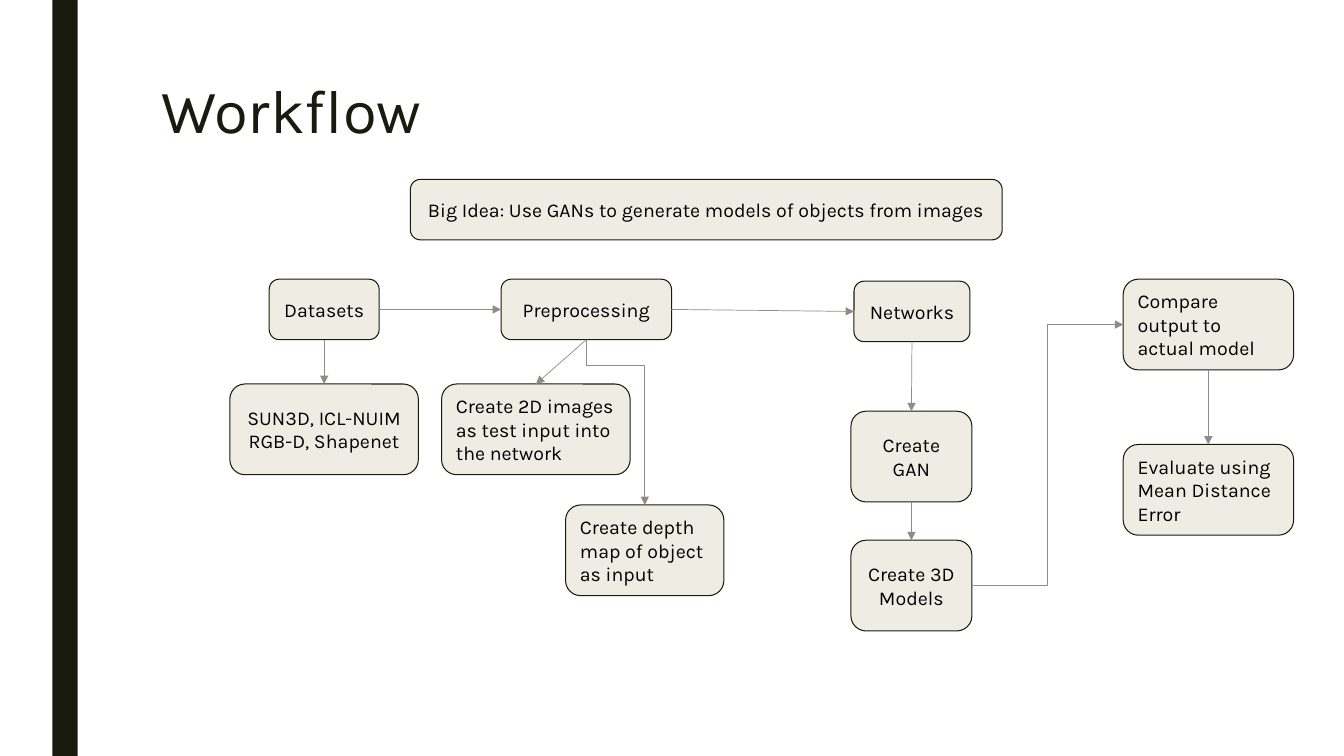
from lxml import etree
from pptx import Presentation, util as u
from pptx.dml.color import RGBColor
from pptx.enum import shapes, text
from pptx.oxml import ns

PX = 9144
DARK = RGBColor(0x19, 0x1B, 0x0E)
CREAM = RGBColor(0xEF, 0xED, 0xE3)
GRAY = RGBColor(0x8C, 0x8D, 0x86)
BLACK = RGBColor(0, 0, 0)
TOP, LEFT, BOTTOM, RIGHT = range(4)
CENTER, START = text.PP_ALIGN.CENTER, text.PP_ALIGN.LEFT

FRAME_FORMAT = {
    "word_wrap": True,
    "vertical_anchor": text.MSO_ANCHOR.MIDDLE,
    "margin_left": 10 * PX,
    "margin_right": 10 * PX,
    "margin_top": 10 * PX,
    "margin_bottom": 10 * PX,
}
TITLE_FORMAT = {
    **FRAME_FORMAT,
    "vertical_anchor": text.MSO_ANCHOR.TOP,
    "margin_top": 5 * PX,
    "margin_bottom": 5 * PX,
}

STEPS = {
    "idea": (407, 178, 587, 60, CENTER, "Big Idea: Use GANs to generate models of objects from images"),
    "datasets": (267, 277, 109, 60, CENTER, "Datasets"),
    "preprocessing": (497, 277, 169, 60, CENTER, "Preprocessing"),
    "networks": (847, 279, 115, 60, CENTER, "Networks"),
    "sources": (228, 381, 187, 90, CENTER, "SUN3D, ICL-NUIM RGB-D, Shapenet"),
    "images": (438, 381, 187, 90, START, "Create 2D images as test input into the network"),
    "depth": (561, 501, 157, 90, START, "Create depth map of object as input"),
    "gan": (844, 408, 120, 90, CENTER, "Create GAN"),
    "models": (844, 536, 120, 90, CENTER, "Create 3D Models"),
    "compare": (1114, 277, 169, 90, START, "Compare output to actual model"),
    "evaluate": (1114, 441, 169, 90, START, "Evaluate using Mean Distance Error"),
}
STRAIGHT_ARROWS = [
    ("datasets", RIGHT, "preprocessing", LEFT),
    ("preprocessing", RIGHT, "networks", LEFT),
    ("datasets", BOTTOM, "sources", TOP),
    ("preprocessing", BOTTOM, "images", TOP),
    ("networks", BOTTOM, "gan", TOP),
    ("gan", BOTTOM, "models", TOP),
    ("compare", BOTTOM, "evaluate", TOP),
]


def apply(target, values):
    for name, value in values.items():
        setattr(target, name, value)


def write(shape, words, size, color, frame_format, paragraph_format):
    frame = shape.text_frame
    apply(frame, frame_format)
    paragraph = frame.paragraphs[0]
    paragraph.text = words
    apply(paragraph, paragraph_format)
    apply(paragraph.font, {"name": "Karla", "size": u.Pt(size)})
    paragraph.font.color.rgb = color


def add_box(slide, kind, box, fill):
    shape = slide.shapes.add_shape(kind, *(value * PX for value in box))
    shape.shadow.inherit = False
    shape.fill.solid()
    shape.fill.fore_color.rgb = fill
    return shape


def add_side_bar(slide, box):
    add_box(slide, shapes.MSO_SHAPE.RECTANGLE, box, DARK).line.fill.background()


def add_title(slide, box):
    title = slide.shapes.add_textbox(*(value * PX for value in box))
    write(title, "Workflow", 44, DARK, TITLE_FORMAT, {"line_spacing": 0.89})


def add_step(slide, left, top, width, height, alignment, words):
    step = add_box(slide, shapes.MSO_SHAPE.ROUNDED_RECTANGLE, (left, top, width, height), CREAM)
    step.adjustments[0] = 0.167
    step.line.color.rgb = DARK
    step.line.width = u.Pt(0.75)
    write(step, words, 14, BLACK, FRAME_FORMAT, {"alignment": alignment})
    return step


def add_arrow(slide, kind, source, source_side, target, target_side):
    arrow = slide.shapes.add_connector(kind, 0, 0, 0, 0)
    arrow.begin_connect(source, source_side)
    arrow.end_connect(target, target_side)
    arrow.line.color.rgb = GRAY
    arrow.line.width = u.Pt(0.5)
    etree.SubElement(arrow.line._get_or_add_ln(), ns.qn("a:tailEnd"), type="triangle")
    etree.SubElement(arrow._element.spPr, ns.qn("a:effectLst"))
    return arrow


def turn_downward(arrow, bend):
    left, top, width, height = arrow.left, arrow.top, arrow.width, arrow.height
    apply(arrow, {
        "left": left + (width - height) // 2,
        "top": top + (height - width) // 2,
        "width": height,
        "height": width,
    })
    properties = arrow._element.spPr
    transform = properties.find(ns.qn("a:xfrm"))
    transform.set("rot", "16200000")
    transform.set("flipH", "1")
    guides = properties.find(ns.qn("a:prstGeom")).find(ns.qn("a:avLst"))
    etree.SubElement(guides, ns.qn("a:gd"), name="adj1", fmla=f"val {bend}")


def add_workflow(slide):
    steps = {name: add_step(slide, *values) for name, values in STEPS.items()}
    straight, elbow = shapes.MSO_CONNECTOR.STRAIGHT, shapes.MSO_CONNECTOR.ELBOW
    for source, source_side, target, target_side in STRAIGHT_ARROWS:
        add_arrow(slide, straight, steps[source], source_side, steps[target], target_side)
    add_arrow(slide, elbow, steps["models"], RIGHT, steps["compare"], LEFT)
    depth_arrow = add_arrow(slide, elbow, steps["preprocessing"], BOTTOM, steps["depth"], TOP)
    turn_downward(depth_arrow, 15300)


def main():
    presentation = Presentation()
    apply(presentation, {"slide_width": 1333 * PX, "slide_height": 750 * PX})
    slide = presentation.slides.add_slide(presentation.slide_layouts[6])
    add_side_bar(slide, (52, 0, 25, 750))
    add_title(slide, (150, 75, 1050, 162))
    add_workflow(slide)
    presentation.save("out.pptx")


if __name__ == "__main__":
    main()
